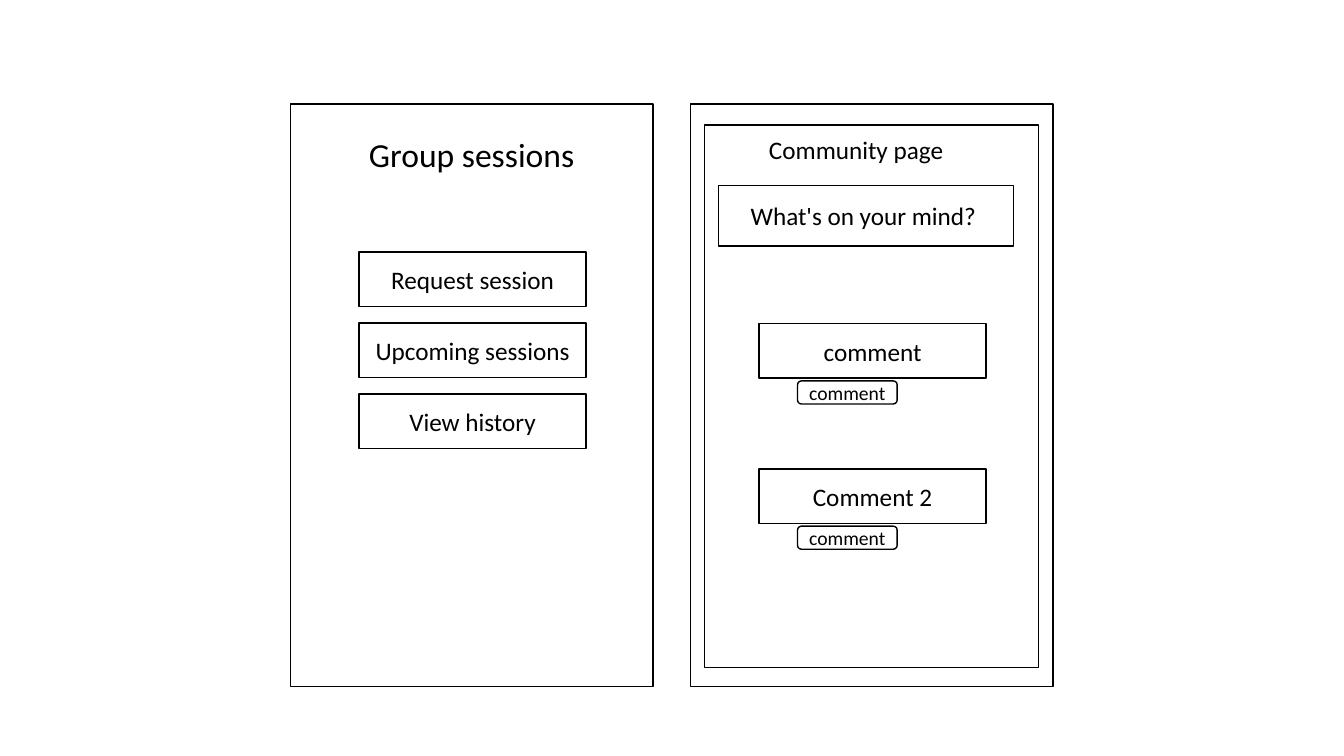
from dataclasses import dataclass

from pptx import Presentation
from pptx.dml.color import RGBColor
from pptx.enum.shapes import MSO_SHAPE as Shape
from pptx.enum.text import MSO_ANCHOR as Anchor, MSO_AUTO_SIZE as AutoSize, PP_ALIGN as Align
from pptx.util import Cm, Pt


@dataclass(frozen=True)
class Theme:
    font: str = "Calibri"
    ink: RGBColor = RGBColor(0, 0, 0)
    paper: RGBColor = RGBColor(255, 255, 255)
    line_width: float = 1
    title_size: int = 24
    body_size: int = 18
    reply_size: int = 14


@dataclass(frozen=True)
class Box:
    """A rectangle in centimetres."""
    left: float
    top: float
    width: float
    height: float

    def inside(self, left, top, width, height):
        """Return a box whose offset is measured from this one."""
        return Box(self.left + left, self.top + top, width, height)

    def lengths(self):
        return Cm(self.left), Cm(self.top), Cm(self.width), Cm(self.height)


THEME = Theme()
BUTTON_LEFT, BUTTON_WIDTH, BUTTON_HEIGHT = 1.73, 5.72, 1.37
TITLE_TOP = 0.64


def write(paragraph, text, size):
    run = paragraph.add_run()
    run.text = text
    run.font.name = THEME.font
    run.font.size = Pt(size)
    run.font.color.rgb = THEME.ink


def add_frame(slide, box, text="", size=THEME.body_size, kind=Shape.RECTANGLE):
    """Add an outlined shape with optional centred text."""
    shape = slide.shapes.add_shape(kind, *box.lengths())
    shape.shadow.inherit = False
    shape.fill.solid()
    shape.fill.fore_color.rgb = THEME.paper
    shape.line.color.rgb = THEME.ink
    shape.line.width = Pt(THEME.line_width)
    if text:
        shape.text_frame.vertical_anchor = Anchor.MIDDLE
        paragraph = shape.text_frame.paragraphs[0]
        paragraph.alignment = Align.CENTER
        write(paragraph, text, size)


def add_title(slide, box, text, size):
    text_frame = slide.shapes.add_textbox(*box.lengths()).text_frame
    text_frame.word_wrap = True
    text_frame.auto_size = AutoSize.SHAPE_TO_FIT_TEXT
    write(text_frame.paragraphs[0], text, size)


def add_sessions_screen(slide, screen):
    add_frame(slide, screen)
    add_title(slide, screen.inside(BUTTON_LEFT, TITLE_TOP, 6.5, 1.27),
              "Group sessions", THEME.title_size)
    first_top, pitch = 3.73, 1.79
    for index, label in enumerate(("Request session", "Upcoming sessions", "View history")):
        add_frame(slide, screen.inside(BUTTON_LEFT, first_top + index * pitch,
                                       BUTTON_WIDTH, BUTTON_HEIGHT), label)


def add_comment(slide, box, text):
    """Add a comment with its reply button underneath."""
    add_frame(slide, box, text)
    add_frame(slide, box.inside(0.97, 1.44, 2.51, 0.58), "comment",
              THEME.reply_size, Shape.ROUNDED_RECTANGLE)


def add_community_screen(slide, screen):
    add_frame(slide, screen)
    add_frame(slide, screen.inside(0.36, 0.53, 8.41, 13.67))
    add_title(slide, screen.inside(BUTTON_LEFT, TITLE_TOP, 5.08, 1.02),
              "Community page", THEME.body_size)
    add_frame(slide, screen.inside(0.71, 2.06, 7.44, 1.52), "What's on your mind? ")
    first_top, pitch = 5.54, 3.66
    for index, text in enumerate(("comment", "Comment 2")):
        add_comment(slide, screen.inside(BUTTON_LEFT, first_top + index * pitch,
                                         BUTTON_WIDTH, BUTTON_HEIGHT), text)


def main():
    presentation = Presentation()
    presentation.slide_width, presentation.slide_height = Cm(33.87), Cm(19.05)
    slide = presentation.slides.add_slide(presentation.slide_layouts[6])
    sessions = Box(7.32, 2.62, 9.14, 14.68)
    add_sessions_screen(slide, sessions)
    add_community_screen(slide, sessions.inside(10.08, 0, sessions.width, sessions.height))
    presentation.save("out.pptx")


if __name__ == "__main__":
    main()
